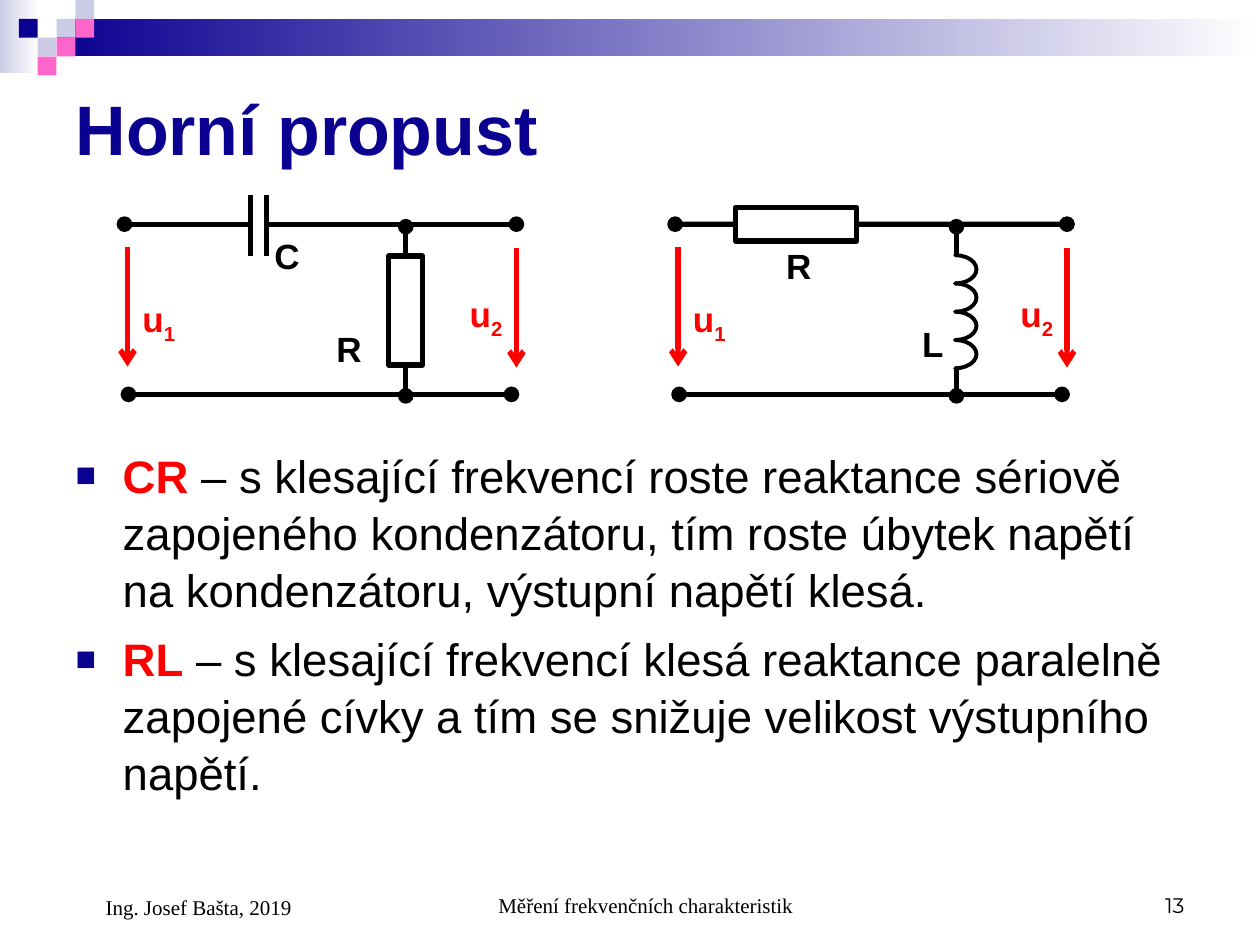
from lxml import etree
from pptx import Presentation
from pptx import util as u
from pptx.dml import color
from pptx.enum import shapes, text
from pptx.oxml import ns

BLUE, LILAC, PINK = "0B0191", "CCCCE6", "FF66CC"
BLACK, RED, WHITE = "000000", "FF0000", "FFFFFF"
CIRCUIT_SHIFT = 11.1  # cm between the two circuits
TOP_Y, BOTTOM_Y = 4.52, 7.95
BRANCH_X = 8.18


def rgb(value):
    return color.RGBColor.from_string(value)


def add_child(parent, tag, **attributes):
    return etree.SubElement(parent, ns.qn(tag), attributes)


def place(shape, left, top, width, height):
    shape.left, shape.top = u.Cm(left), u.Cm(top)
    shape.width, shape.height = u.Cm(width), u.Cm(height)


def add_run(paragraph, words, size, colour, bold=False, font="Arial"):
    run = paragraph.add_run()
    run.text = words
    run.font.name = font
    run.font.size = u.Pt(size)
    run.font.bold = bold
    run.font.color.rgb = rgb(colour)
    return run


def add_shape(slide, kind, left, top, width, height):
    shape = slide.shapes.add_shape(
        kind, u.Cm(left), u.Cm(top), u.Cm(width), u.Cm(height))
    shape.shadow.inherit = False
    return shape


def add_block(slide, left, top, width, height, colour, fade=False):
    block = add_shape(slide, shapes.MSO_SHAPE.RECTANGLE, left, top, width, height)
    block.line.fill.background()
    if fade:
        block.fill.gradient()
        block.fill.gradient_angle = 0
        for stop, value in zip(block.fill.gradient_stops, (colour, WHITE)):
            stop.color.rgb = rgb(value)
    else:
        block.fill.solid()
        block.fill.fore_color.rgb = rgb(colour)


def add_outline(slide, kind, left, top, width, height, weight=3):
    shape = add_shape(slide, kind, left, top, width, height)
    shape.fill.background()
    shape.line.color.rgb = rgb(BLACK)
    shape.line.width = u.Pt(weight)
    return shape


def add_wire(slide, start, end, colour=BLACK, head=None, tail=None):
    wire = slide.shapes.add_connector(
        shapes.MSO_CONNECTOR.STRAIGHT, *(u.Cm(value) for value in start + end))
    wire.line.color.rgb = rgb(colour)
    wire.line.width = u.Pt(3)
    properties = wire._element.spPr
    line = properties.find(ns.qn("a:ln"))
    for tag, kind in (("a:headEnd", head), ("a:tailEnd", tail)):
        if kind:
            add_child(line, tag, type=kind)
    add_child(properties, "a:effectLst")
    return wire


def add_text_box(slide, left, top, width, height):
    box = slide.shapes.add_textbox(
        u.Cm(left), u.Cm(top), u.Cm(width), u.Cm(height))
    box.text_frame.word_wrap = True
    return box.text_frame


def add_label(slide, left, top, letter, colour=BLACK, subscript=""):
    width, height = (1.4, 1.22) if subscript else (1.17, 1.12)
    paragraph = add_text_box(slide, left, top, width, height).paragraphs[0]
    add_run(paragraph, letter, 20, colour, True)
    if subscript:
        run = add_run(paragraph, subscript, 20, colour, True)
        run._r.get_or_add_rPr().set("baseline", "-25000")


def add_footer(slide, left, width, words, align, indent=0, font="Times New Roman",
               height=1.27):
    frame = add_text_box(slide, left, 17.35, width, height)
    frame.vertical_anchor = text.MSO_ANCHOR.BOTTOM
    paragraph = frame.paragraphs[0]
    paragraph.alignment = align
    paragraph._p.get_or_add_pPr().set("marL", str(u.Cm(indent)))
    add_run(paragraph, words, 12, BLACK, font=font)


def add_bullet(paragraph, term, words):
    properties = paragraph._p.get_or_add_pPr()
    properties.set("marL", str(u.Cm(0.95)))
    properties.set("indent", str(u.Cm(-0.95)))
    bullet_colour = add_child(properties, "a:buClr")
    add_child(bullet_colour, "a:srgbClr", val=BLUE)
    add_child(properties, "a:buSzPct", val="75000")
    add_child(properties, "a:buFont", typeface="Arial")
    add_child(properties, "a:buChar", char="■")
    paragraph.line_spacing = 1.05
    add_run(paragraph, term, 26, RED, True)
    add_run(paragraph, words, 26, BLACK)


def add_header_band(slide):
    add_block(slide, 0, 0, 0.79, 1.47, LILAC, fade=True)
    add_block(slide, 1.14, 0.38, 24.26, 0.76, BLUE, fade=True)
    step = 0.38
    for column, row, colour in (
            (3, 1, LILAC), (4, 0, LILAC), (4, 1, PINK), (2, 2, LILAC),
            (1, 1, BLUE), (3, 2, PINK), (2, 3, PINK)):
        add_block(slide, column * step, row * step, step, step, colour)


def add_two_port(slide, shift):
    """Draw what both circuits share; return the wires that meet components."""
    add_wire(slide, (10.31 + shift, BOTTOM_Y), (2.59 + shift, BOTTOM_Y),
             head="oval", tail="oval")
    for x, top, label_x, label_y, index in (
            (2.57, 4.98, 2.62, 5.87, "1"), (10.41, 5.0, 9.22, 5.77, "2")):
        add_wire(slide, (x + shift, top), (x + shift, top + 2.41), RED, tail="arrow")
        add_label(slide, label_x + shift, label_y, "u", RED, index)
    branch = BRANCH_X + shift
    upper = add_wire(slide, (branch, 5.16), (branch, 4.57), tail="oval")
    lower = add_wire(slide, (branch, 7.39), (branch, 7.98), tail="oval")
    return upper, lower


def add_series_wires(slide, shift, left_end, right_end):
    left = add_wire(slide, (left_end + shift, TOP_Y), (2.51 + shift, TOP_Y), tail="oval")
    right = add_wire(slide, (right_end + shift, TOP_Y), (10.41 + shift, TOP_Y), tail="oval")
    return left, right


def add_cr_circuit(slide):
    upper, lower = add_two_port(slide, 0)
    plates = (5.05, 5.37)
    add_series_wires(slide, 0, *plates)
    for x in plates:
        add_wire(slide, (x, 3.94), (x, 5.16))
    resistor = add_outline(slide, shapes.MSO_SHAPE.RECTANGLE,
                           BRANCH_X - 0.34, 5.16, 0.68, 2.2)
    upper.begin_connect(resistor, 0)
    lower.begin_connect(resistor, 2)
    add_label(slide, 5.28, 4.6, "C")
    add_label(slide, 6.53, 6.48, "R")


def add_rl_circuit(slide):
    shift = CIRCUIT_SHIFT
    add_two_port(slide, shift)
    left, right = add_series_wires(slide, shift, 3.73, 6.17)
    resistor = add_outline(slide, shapes.MSO_SHAPE.RECTANGLE,
                           3.73 + shift, TOP_Y - 0.34, 2.44, 0.68)
    left.begin_connect(resistor, 1)
    right.begin_connect(resistor, 3)
    # Coil: four half turns, one below the other
    for turn in range(4):
        arc = add_outline(slide, shapes.MSO_SHAPE.BLOCK_ARC,
                          7.87 + shift, 5.0 + turn * 0.57, 0.57, 0.86, 2.25)
        arc.rotation = 90
        for index, value in enumerate((108, 0, 0)):
            arc.adjustments[index] = value
    add_label(slide, 15.6, 4.8, "R")
    add_label(slide, 18.34, 6.38, "L")


def fill_title(title):
    place(title, 1.27, 1.27, 22.86, 2.62)
    frame = title.text_frame
    frame.auto_size = text.MSO_AUTO_SIZE.NONE
    frame.vertical_anchor = text.MSO_ANCHOR.MIDDLE
    paragraph = frame.paragraphs[0]
    paragraph.alignment = text.PP_ALIGN.LEFT
    add_run(paragraph, "Horní propust", 40, BLUE, True)


def fill_body(body):
    place(body, 1.27, 8.84, 22.86, 7.95)
    frame = body.text_frame
    frame.auto_size = text.MSO_AUTO_SIZE.NONE
    first, second = frame.paragraphs[0], frame.add_paragraph()
    add_bullet(first, "CR", " – s klesající frekvencí roste reaktance sériově "
               "zapojeného kondenzátoru, tím roste úbytek napětí na "
               "kondenzátoru, výstupní napětí klesá.")
    add_bullet(second, "RL", " – s klesající frekvencí klesá reaktance paralelně "
               "zapojené cívky a tím se snižuje velikost výstupního napětí.")
    first.space_before = u.Pt(0)
    second.space_before = u.Pt(6.5)


def main():
    presentation = Presentation()
    presentation.slide_width, presentation.slide_height = u.Cm(25.4), u.Cm(19.05)
    slide = presentation.slides.add_slide(presentation.slide_layouts[1])
    add_header_band(slide)
    fill_title(slide.shapes.title)
    fill_body(slide.placeholders[1])
    add_rl_circuit(slide)
    add_cr_circuit(slide)
    # Footer line
    add_footer(slide, 8.69, 8.05, "Měření frekvenčních charakteristik",
               text.PP_ALIGN.CENTER, 0.61)
    add_footer(slide, 18.21, 5.92, "13", text.PP_ALIGN.RIGHT, font="Montserrat")
    add_footer(slide, 1.27, 5.92, "Ing. Josef Bašta, 2019", text.PP_ALIGN.LEFT, 0.61,
               height=1.32)
    presentation.save("out.pptx")


if __name__ == "__main__":
    main()
